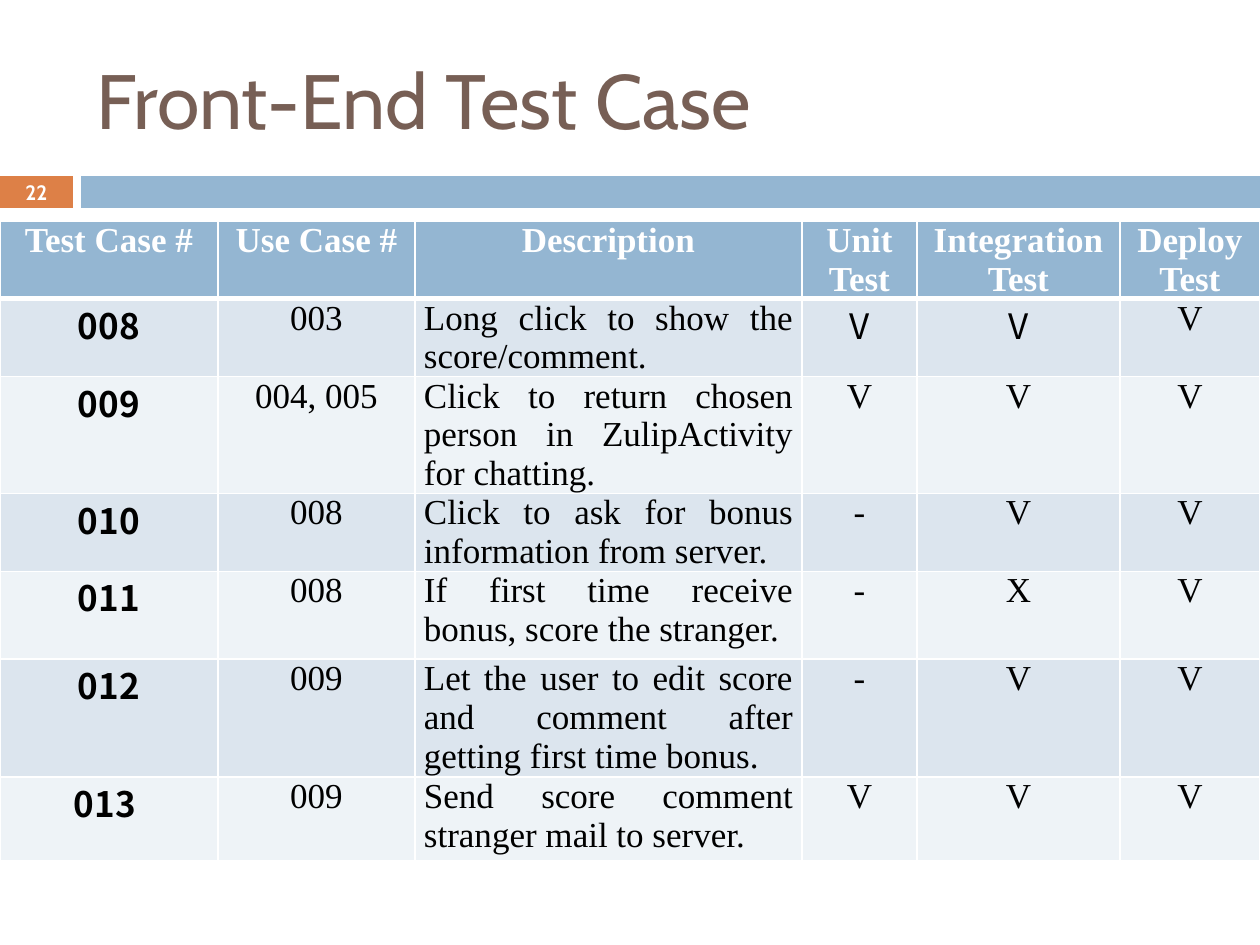
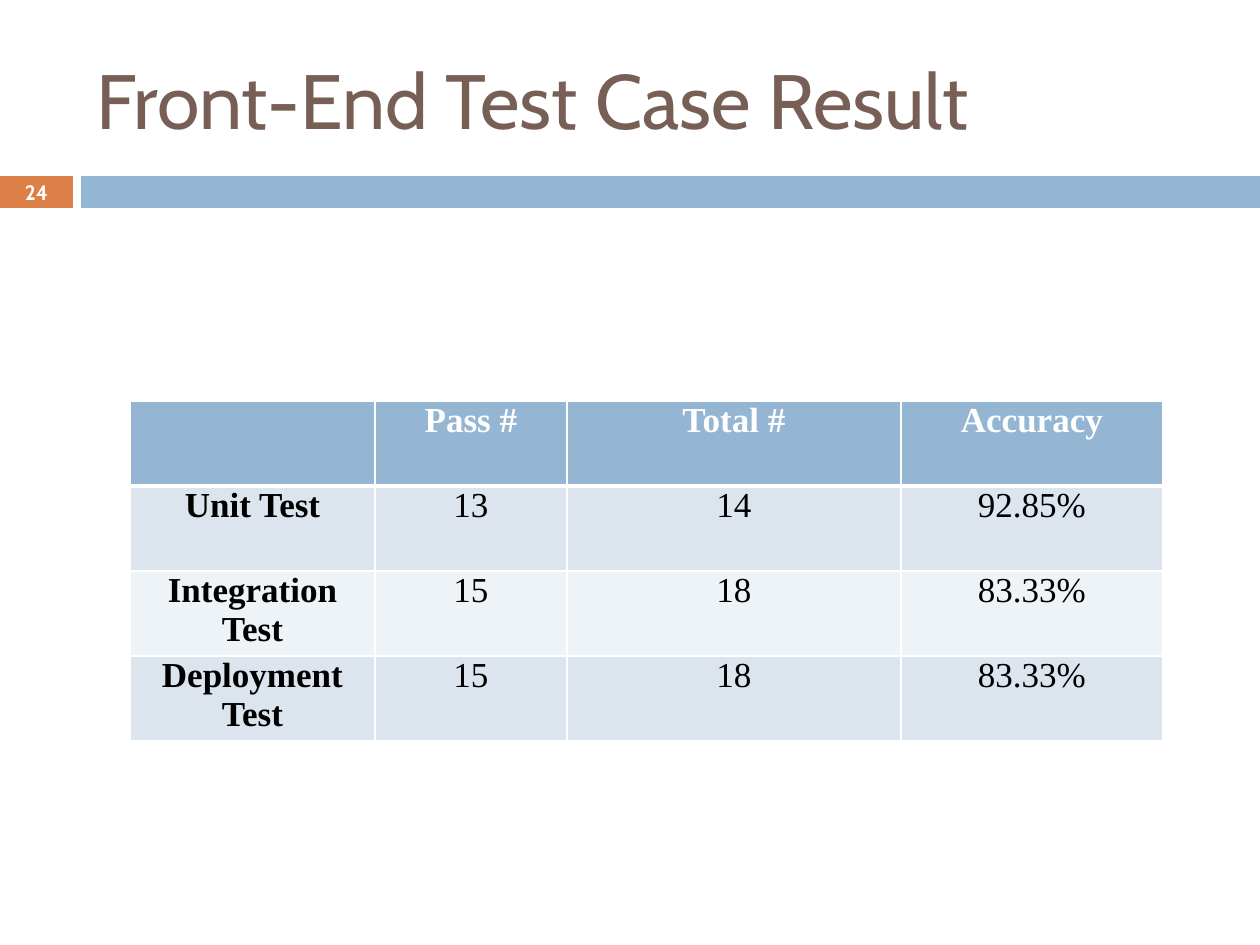
from lxml.etree import SubElement
from pptx import Presentation
from pptx.dml.color import RGBColor
from pptx.enum.shapes import MSO_SHAPE
from pptx.enum.text import MSO_ANCHOR as ANCHOR, PP_ALIGN as ALIGN
from pptx.oxml.ns import qn
from pptx.util import Emu, Pt

PX_PER_INCH = 126
SLIDE_W, SLIDE_H = 1260, 945

BLUE, ORANGE, BROWN = "94B6D2", "DD8047", "775F55"
WHITE, BLACK = "FFFFFF", "000000"
BANDS = ("EEF3F7", "DCE5EE")  # even and odd body rows

HEAD_FONT, BODY_FONT, CODE_FONT = "Cabin", "Times New Roman", "Noto Sans CJK SC"

TITLE_BOX = (84, 31, 1124, 136)
NUMBER_BOX = (0, 176, 73, 32)
STRIPE_BOX = (81, 176, 1179, 32)

CASES = [
    ("Test Case #", "Use Case #", "Description", "Unit Test", "Integration Test", "Deploy Test"),
    ("008", "003", "Long click to show the score/comment.", "V", "V", "V"),
    ("009", "004, 005", "Click to return chosen person in ZulipActivity for chatting.", "V", "V", "V"),
    ("010", "008", "Click to ask for bonus information from server.", "-", "V", "V"),
    ("011", "008", "If first time receive bonus, score the stranger.", "-", "X", "V"),
    ("012", "009", "Let the user to edit score and comment after getting first time bonus.", "-", "V", "V"),
    ("013 ", "009", "Send score comment stranger mail to server.", "V", "V", "V"),
]
RESULTS = [
    ("", "Pass #", "Total #", "Accuracy"),
    ("Unit Test", "13", "14", "92.85%"),
    ("Integration Test", "15", "18", "83.33%"),
    ("Deployment Test", "15", "18", "83.33%"),
]


def px(n):
    return Emu(round(n * 914400 / PX_PER_INCH))


def rgb(color):
    return RGBColor.from_string(color)


def style(p, size, name, color, bold=False, align=ALIGN.CENTER):
    p.alignment = align
    font = p.font
    font.size, font.name, font.bold = Pt(size), name, bold
    font.color.rgb = rgb(color)


def add_band(s, box, color):
    sp = s.shapes.add_shape(MSO_SHAPE.RECTANGLE, *map(px, box))
    sp.shadow.inherit = False
    sp.fill.solid()
    sp.fill.fore_color.rgb = rgb(color)
    sp.line.fill.background()
    return sp


def add_slide(prs, title, number):
    """Add a slide with its title, coloured bands and slide number."""
    s = prs.slides.add_slide(prs.slide_layouts[5])
    sp = s.shapes.title
    sp.left, sp.top, sp.width, sp.height = map(px, TITLE_BOX)
    tf = sp.text_frame
    tf.text = title
    tf.vertical_anchor = ANCHOR.MIDDLE
    style(tf.paragraphs[0], 44, HEAD_FONT, BROWN, align=ALIGN.LEFT)

    add_band(s, STRIPE_BOX, BLUE)
    tf = add_band(s, NUMBER_BOX, ORANGE).text_frame
    tf.margin_left = tf.margin_right = tf.margin_top = tf.margin_bottom = 0
    tf.vertical_anchor = ANCHOR.MIDDLE
    tf.text = str(number)
    style(tf.paragraphs[0], 11.9, HEAD_FONT, WHITE, bold=True)
    return s


def set_borders(cell, top, bottom):
    """Draw white borders, 1 pt at the sides and as given above and below."""
    tcPr = cell._tc.get_or_add_tcPr()
    for side, width in (("L", 1), ("R", 1), ("T", top), ("B", bottom)):
        ln = SubElement(tcPr, qn(f"a:ln{side}"), w=str(Pt(width)))
        fill = SubElement(ln, qn("a:solidFill"))
        SubElement(fill, qn("a:srgbClr"), val=WHITE)


def add_test_table(s, left, top, widths, heights, rows, justified=(), code_cells=()):
    """Add a banded table; justified lists columns, code_cells (row, column) pairs."""
    table = s.shapes.add_table(len(rows), len(widths), px(left), px(top),
                               px(sum(widths)), px(sum(heights))).table
    for col, width in zip(table.columns, widths):
        col.width = px(width)
    for r, (row, height) in enumerate(zip(rows, heights)):
        table.rows[r].height = px(height)
        for c, text in enumerate(row):
            cell = table.cell(r, c)
            set_borders(cell, top=3 if r == 1 else 1, bottom=3 if r == 0 else 1)
            cell.fill.solid()
            cell.fill.fore_color.rgb = rgb(BANDS[r % 2] if r else BLUE)
            cell.margin_left = cell.margin_right = px(9)
            cell.margin_top = cell.margin_bottom = 0
            cell.text = text
            style(cell.text_frame.paragraphs[0], 20,
                  CODE_FONT if (r, c) in code_cells else BODY_FONT,
                  BLACK if r else WHITE, bold=r == 0 or c == 0,
                  align=ALIGN.JUSTIFY if r and c in justified else ALIGN.CENTER)


def main():
    prs = Presentation()
    prs.slide_width, prs.slide_height = px(SLIDE_W), px(SLIDE_H)

    s = add_slide(prs, "Front-End Test Case", 22)
    code_cells = {(r, 0) for r in range(1, len(CASES))} | {(1, 3), (1, 4)}
    add_test_table(s, 0, 221, (218, 197, 387, 115, 203, 140),
                   (77, 78, 116, 78, 88, 118, 84), CASES,
                   justified=(2,), code_cells=code_cells)

    s = add_slide(prs, "Front-End Test Case Result", 24)
    add_test_table(s, 130, 401, (245, 192, 334, 262), [85] * len(RESULTS), RESULTS)

    prs.save("out.pptx")


if __name__ == "__main__":
    main()
